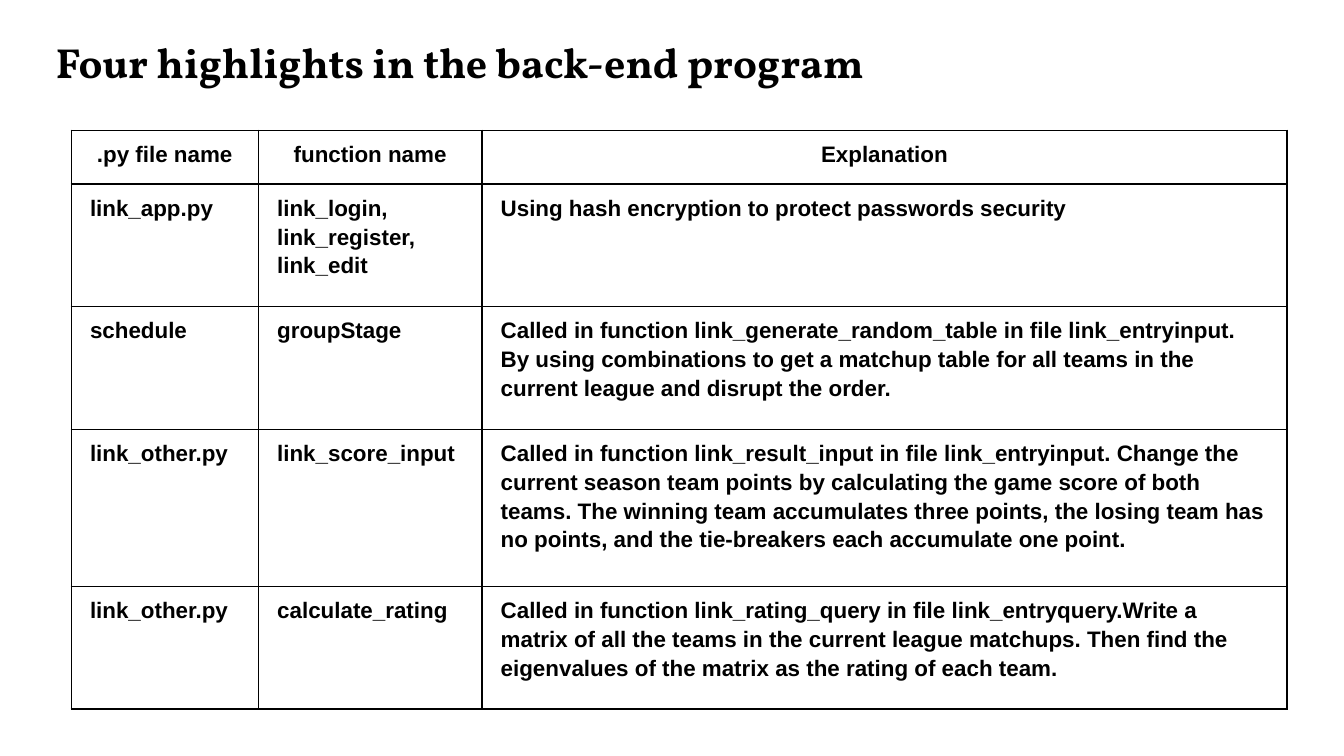
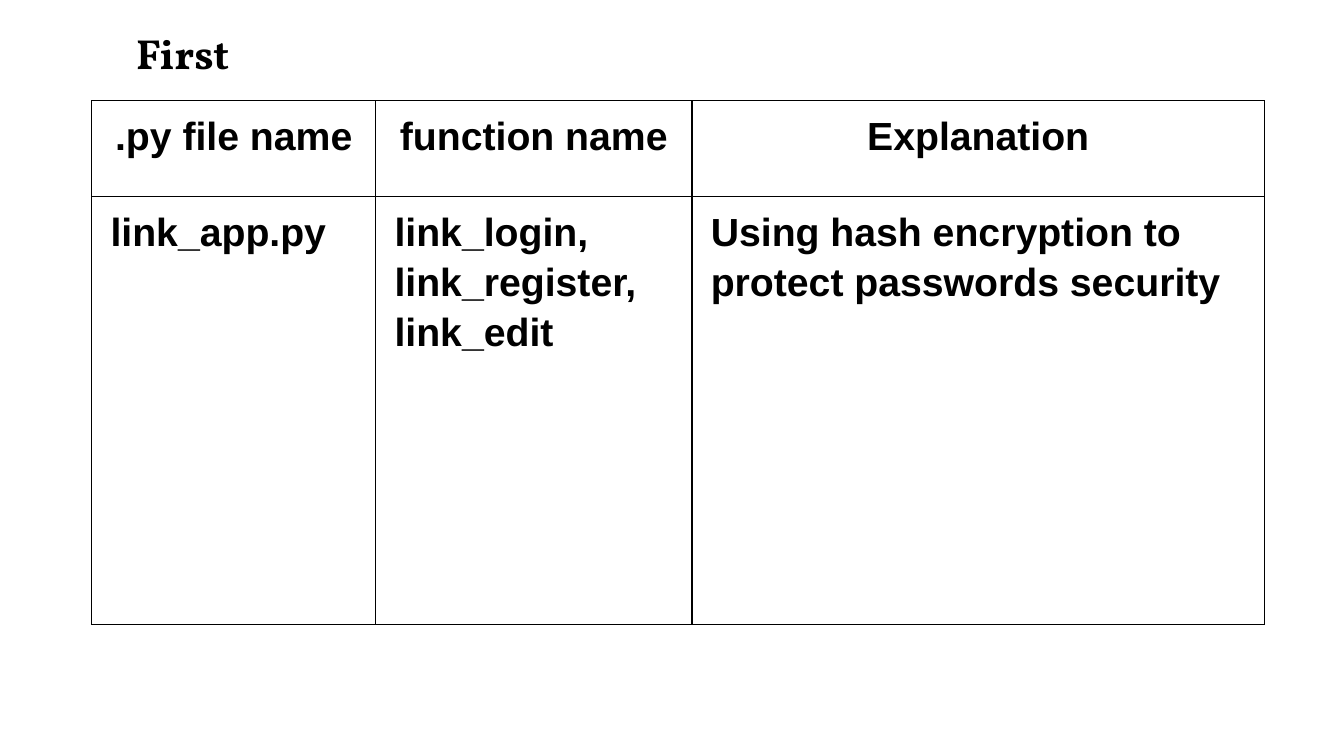
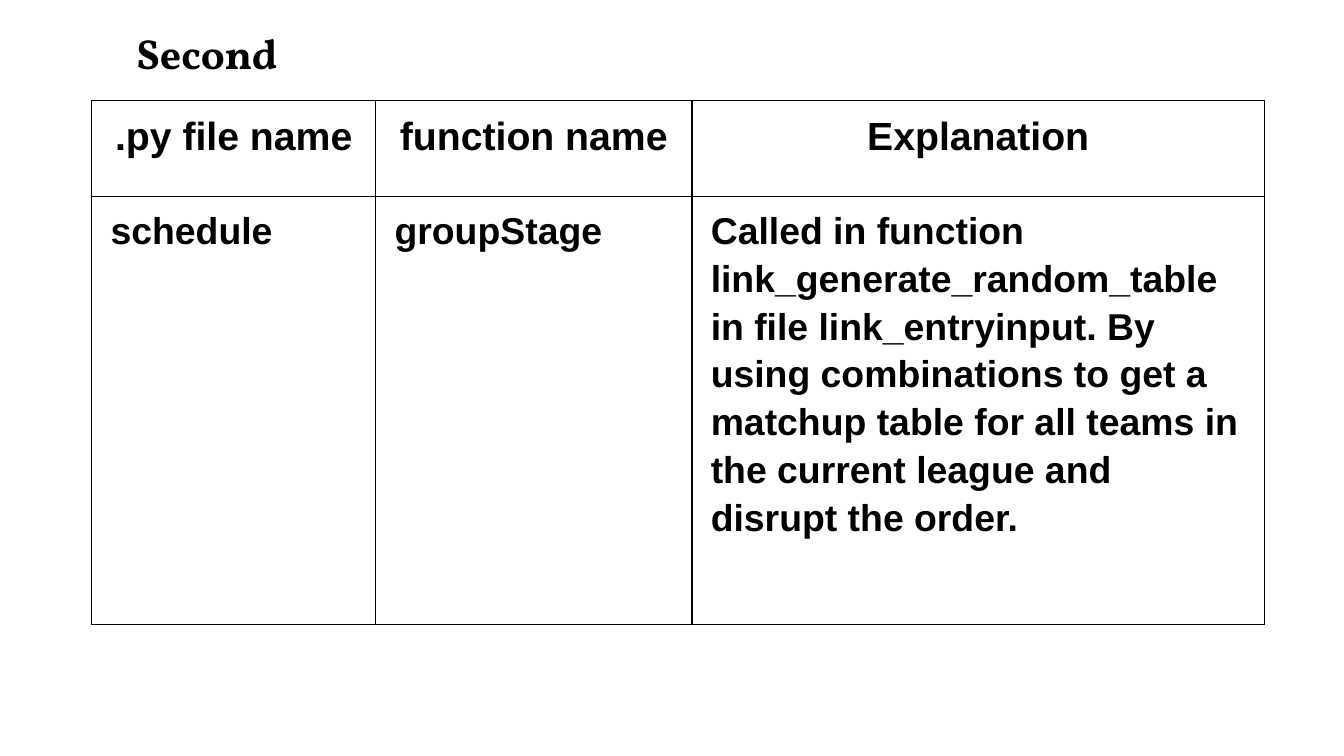
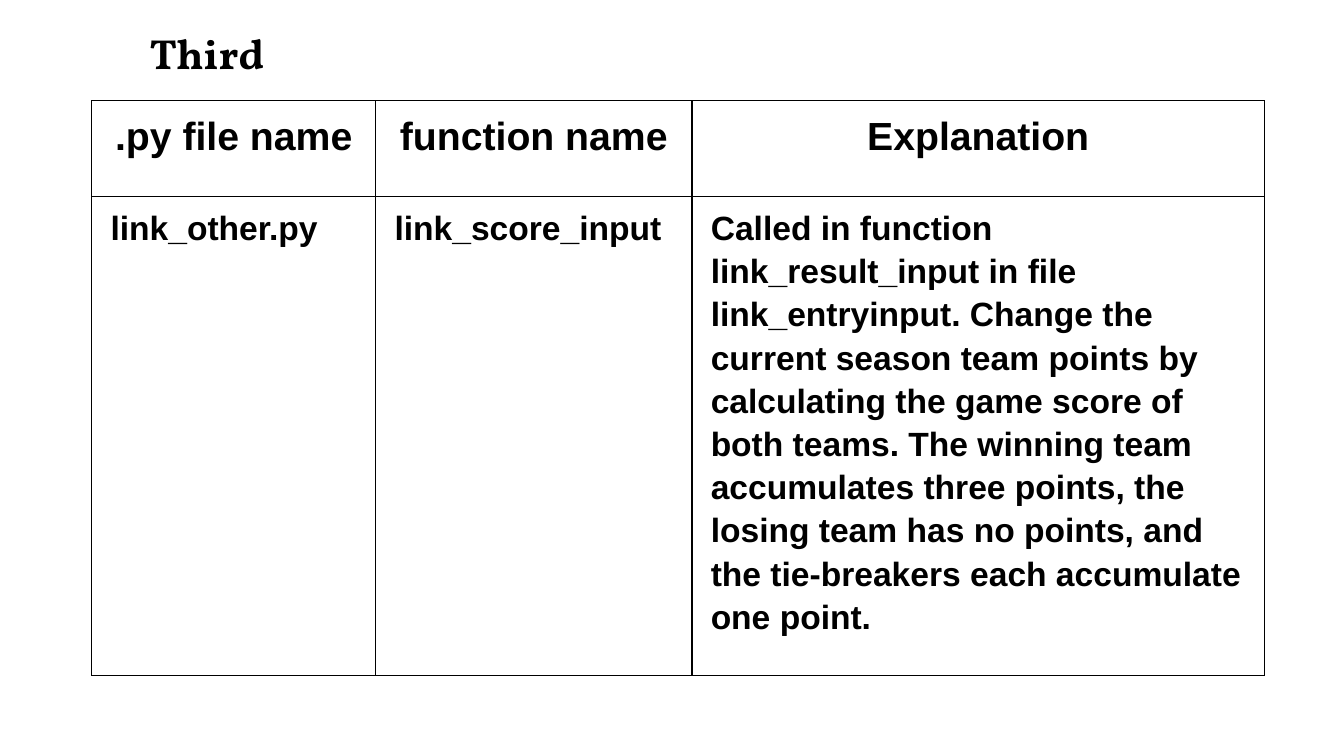
from typing import NamedTuple

from lxml.etree import SubElement as Sub
from pptx import Presentation
from pptx.dml.color import RGBColor as RGB
from pptx.enum.text import MSO_ANCHOR as Anchor
from pptx.enum.text import MSO_AUTO_SIZE as Fit
from pptx.enum.text import PP_ALIGN as Align
from pptx.oxml.ns import qn
from pptx.slide import Slide
from pptx.table import _Cell as Cell
from pptx.text.text import _Paragraph as Para
from pptx.util import Emu, Inches, Pt

# Shared look: a 16:9 slide
WIDE = Inches(10)
HIGH = Emu(WIDE * 9 // 16)
INK, PAPER = "000000", "FFFFFF"
HEAD_FONT, BODY_FONT = "Vollkorn", "Arial"
HEAD_SIZE = 22.5
RULE = 0.75


class Box(NamedTuple):
    """A place on the slide, in percent of its width and height."""
    left: float
    top: float
    width: float
    height: float


class Grid(NamedTuple):
    """A table's corner, column widths and row heights, in percent."""
    left: float
    top: float
    cols: list[float]
    rows: list[float]


class Item(NamedTuple):
    """One table row: file, function and explanation."""
    file: str
    func: str
    text: str


class Page(NamedTuple):
    """One slide: its title, table grid, rows and text sizes."""
    title: str
    spot: Box
    grid: Grid
    items: list[Item]
    head: float
    body: float


# Content
LABELS = Item(".py file name", "function name", "Explanation")
ITEMS = [
    Item("link_app.py", "link_login, link_register, link_edit",
         "Using hash encryption to protect passwords security"),
    Item("schedule", "groupStage",
         "Called in function link_generate_random_table in file "
         "link_entryinput. By using combinations to get a matchup table for "
         "all teams in the current league and disrupt the order."),
    Item("link_other.py", "link_score_input",
         "Called in function link_result_input in file link_entryinput. "
         "Change the current season team points by calculating the game "
         "score of both teams. The winning team accumulates three points, "
         "the losing team has no points, and the tie-breakers each "
         "accumulate one point."),
    Item("link_other.py", "calculate_rating",
         "Called in function link_rating_query in file link_entryquery."
         "Write a matrix of all the teams in the current league matchups. "
         "Then find the eigenvalues of the matrix as the rating of each "
         "team."),
]

# Places
ALL = Grid(5.3, 17.24, [13.93, 16.63, 59.9], [7.11, 16.22, 16.22, 20.8, 16.22])
ONE = Grid(6.83, 13.33, [21.13, 23.53, 42.6], [12.62, 56.71])


def small(left: float) -> Box:
    return Box(left, 1.85, 19.2, 10.31)


PAGES = [
    Page("Four highlights in the back-end program",
         Box(-0.5, 3.02, 69.5, 10.31), ALL, ITEMS, 12, 12),
    Page("First", small(4), ONE, ITEMS[:1], 21, 21),
    Page("Second", small(5.8), ONE, ITEMS[1:2], 21, 20),
    Page("Third", small(5.8), ONE, ITEMS[2:3], 21, 18),
]


# Helpers
def hue(code: str) -> RGB:
    return RGB.from_string(code)


def across(share: float) -> Emu:
    return Emu(round(WIDE * share / 100))


def down(share: float) -> Emu:
    return Emu(round(HIGH * share / 100))


def write(para: Para, text: str, size: float, face: str) -> None:
    run = para.add_run()
    run.text = text
    font = run.font
    font.name, font.size, font.bold = face, Pt(size), True
    font.color.rgb = hue(INK)


def border(cell: Cell) -> None:
    props = cell._tc.get_or_add_tcPr()
    for side in ("a:lnL", "a:lnR", "a:lnT", "a:lnB"):
        line = Sub(props, qn(side), w=str(Pt(RULE)))
        fill = Sub(line, qn("a:solidFill"))
        Sub(fill, qn("a:srgbClr"), val=INK)


def fill_cell(cell: Cell, text: str, size: float, align: Align) -> None:
    border(cell)
    cell.fill.background()
    cell.margin_left = cell.margin_right = Inches(0.14)
    cell.margin_top = cell.margin_bottom = Inches(0.06)
    cell.vertical_anchor = Anchor.TOP
    para = cell.text_frame.paragraphs[0]
    para.alignment, para.line_spacing = align, 1.15
    write(para, text, size, BODY_FONT)


# Slide parts
def add_title(slide: Slide, text: str, spot: Box) -> None:
    title = slide.shapes.title
    title.left, title.top = across(spot.left), down(spot.top)
    title.width, title.height = across(spot.width), down(spot.height)
    frame = title.text_frame
    frame.word_wrap, frame.auto_size = True, Fit.SHAPE_TO_FIT_TEXT
    frame.vertical_anchor = Anchor.TOP
    frame.margin_left = frame.margin_right = Inches(0.1)
    frame.margin_top = frame.margin_bottom = Inches(0.1)
    para = frame.paragraphs[0]
    para.alignment = Align.CENTER
    write(para, text, HEAD_SIZE, HEAD_FONT)


def add_grid(slide: Slide, page: Page) -> None:
    grid = page.grid
    table = slide.shapes.add_table(
        len(grid.rows), len(grid.cols), across(grid.left), down(grid.top),
        across(sum(grid.cols)), down(sum(grid.rows))).table
    table.first_row = table.horz_banding = False
    for col, share in zip(table.columns, grid.cols):
        col.width = across(share)
    for row, share in zip(table.rows, grid.rows):
        row.height = down(share)
    for r, item in enumerate([LABELS, *page.items]):
        size, align = (page.body, Align.LEFT) if r else (page.head, Align.CENTER)
        for c, text in enumerate(item):
            fill_cell(table.cell(r, c), text, size, align)


def main() -> None:
    deck = Presentation()
    deck.slide_width, deck.slide_height = WIDE, HIGH
    for page in PAGES:
        slide = deck.slides.add_slide(deck.slide_layouts[5])
        back = slide.background.fill
        back.solid()
        back.fore_color.rgb = hue(PAPER)
        add_title(slide, page.title, page.spot)
        add_grid(slide, page)
    deck.save("out.pptx")


if __name__ == "__main__":
    main()
